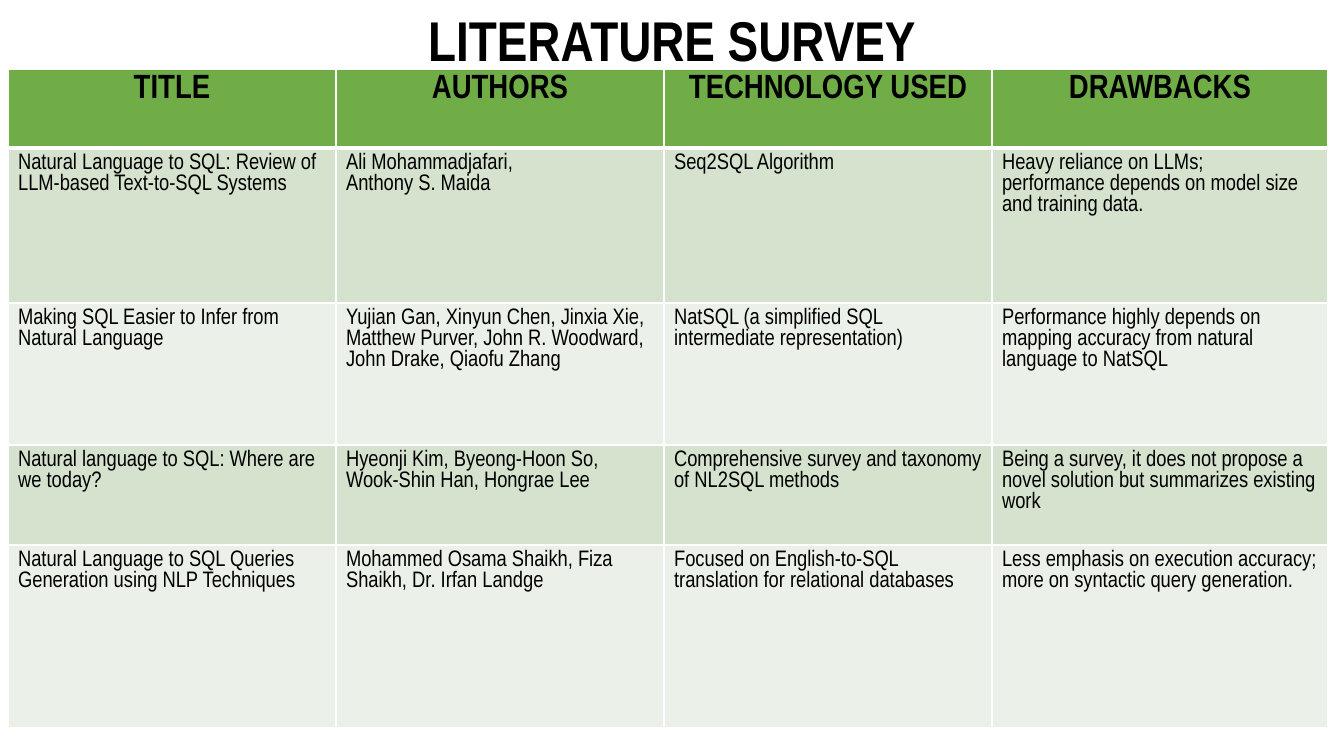
from lxml import etree
from pptx import Presentation
from pptx.dml.color import RGBColor
from pptx.enum.text import MSO_ANCHOR, MSO_AUTO_SIZE, PP_ALIGN
from pptx.oxml.ns import qn
from pptx.util import Emu, Pt

CENTER, LEFT = PP_ALIGN.CENTER, PP_ALIGN.LEFT
TOP, NO_FIT = MSO_ANCHOR.TOP, MSO_AUTO_SIZE.NONE
FONT = "Arial Narrow"
COLORS = {"text": "000000", "header": "70AD47", "odd": "D4E2CE",
          "even": "EBF1E8", "border": "FFFFFF"}

COLUMN_WIDTHS = [328, 328, 328, 336]
ROW_HEIGHTS = [79, 155, 142, 100, 183]
SURVEY = [
    ["TITLE", "AUTHORS", "TECHNOLOGY USED", "DRAWBACKS"],
    ["Natural Language to SQL: Review of LLM-based Text-to-SQL Systems",
     "Ali Mohammadjafari,\nAnthony S. Maida",
     "Seq2SQL Algorithm",
     "Heavy reliance on LLMs;\n"
     "performance depends on model size and training data."],
    ["Making SQL Easier to Infer from Natural Language",
     "Yujian Gan, Xinyun Chen, Jinxia Xie, Matthew Purver, "
     "John R. Woodward, John Drake, Qiaofu Zhang",
     "NatSQL (a simplified SQL intermediate representation)",
     "Performance highly depends on mapping accuracy from natural "
     "language to NatSQL"],
    ["Natural language to SQL: Where are we today?",
     "Hyeonji Kim, Byeong-Hoon So, Wook-Shin Han, Hongrae Lee",
     "Comprehensive survey and taxonomy of NL2SQL methods",
     "Being a survey, it does not propose a novel solution but "
     "summarizes existing work"],
    ["Natural Language to SQL Queries Generation using NLP Techniques",
     "Mohammed Osama Shaikh, Fiza Shaikh, Dr. Irfan Landge",
     "Focused on English-to-SQL translation for relational databases",
     "Less emphasis on execution accuracy; more on syntactic query "
     "generation."],
]


def px(n):
    return Emu(round(n * 914400 / 100.8))


def rgb(name):
    return RGBColor.from_string(COLORS[name])


def write(tf, text, size, bold, align):
    tf.text = text
    for p in tf.paragraphs:
        p.alignment = align
        p.font.name = FONT
        p.font.size = Pt(size)
        p.font.bold = bold
        p.font.color.rgb = rgb("text")


def set_borders(cell, top, bottom):
    tcPr = cell._tc.get_or_add_tcPr()
    widths = {"a:lnL": 1, "a:lnR": 1, "a:lnT": top, "a:lnB": bottom}
    for i, (tag, width) in enumerate(widths.items()):
        ln = etree.Element(qn(tag), w=str(Pt(width)))
        fill = etree.SubElement(ln, qn("a:solidFill"))
        etree.SubElement(fill, qn("a:srgbClr"), val=COLORS["border"])
        tcPr.insert(i, ln)


def add_title(s, x, y, w, h):
    title = s.shapes.title
    title.left, title.top, title.width, title.height = map(px, (x, y, w, h))
    tf = title.text_frame
    tf.word_wrap = True
    tf.auto_size = NO_FIT
    tf.vertical_anchor = TOP
    write(tf, "LITERATURE SURVEY", 40, True, CENTER)


def add_survey_table(s, x, y):
    w, h = sum(COLUMN_WIDTHS), sum(ROW_HEIGHTS)
    table = s.shapes.add_table(len(ROW_HEIGHTS), len(COLUMN_WIDTHS),
                               *map(px, (x, y, w, h))).table
    for column, width in zip(table.columns, COLUMN_WIDTHS):
        column.width = px(width)
    for i, (row, height) in enumerate(zip(table.rows, ROW_HEIGHTS)):
        row.height = px(height)
        header = i == 0
        band = "header" if header else "odd" if i % 2 else "even"
        for cell, text in zip(row.cells, SURVEY[i]):
            cell.fill.solid()
            cell.fill.fore_color.rgb = rgb(band)
            # Thick rule between the header and the first paper
            set_borders(cell, 3 if i == 1 else 1, 3 if header else 1)
            write(cell.text_frame, text, 24 if header else 16, header,
                  CENTER if header else LEFT)


def main():
    prs = Presentation()
    prs.slide_width, prs.slide_height = px(1344), px(756)
    s = prs.slides.add_slide(prs.slide_layouts[5])
    # Heading
    add_title(s, 8, 0, 1328, 78)
    # Survey of papers
    add_survey_table(s, 8, 69)
    prs.save("out.pptx")


if __name__ == "__main__":
    main()
